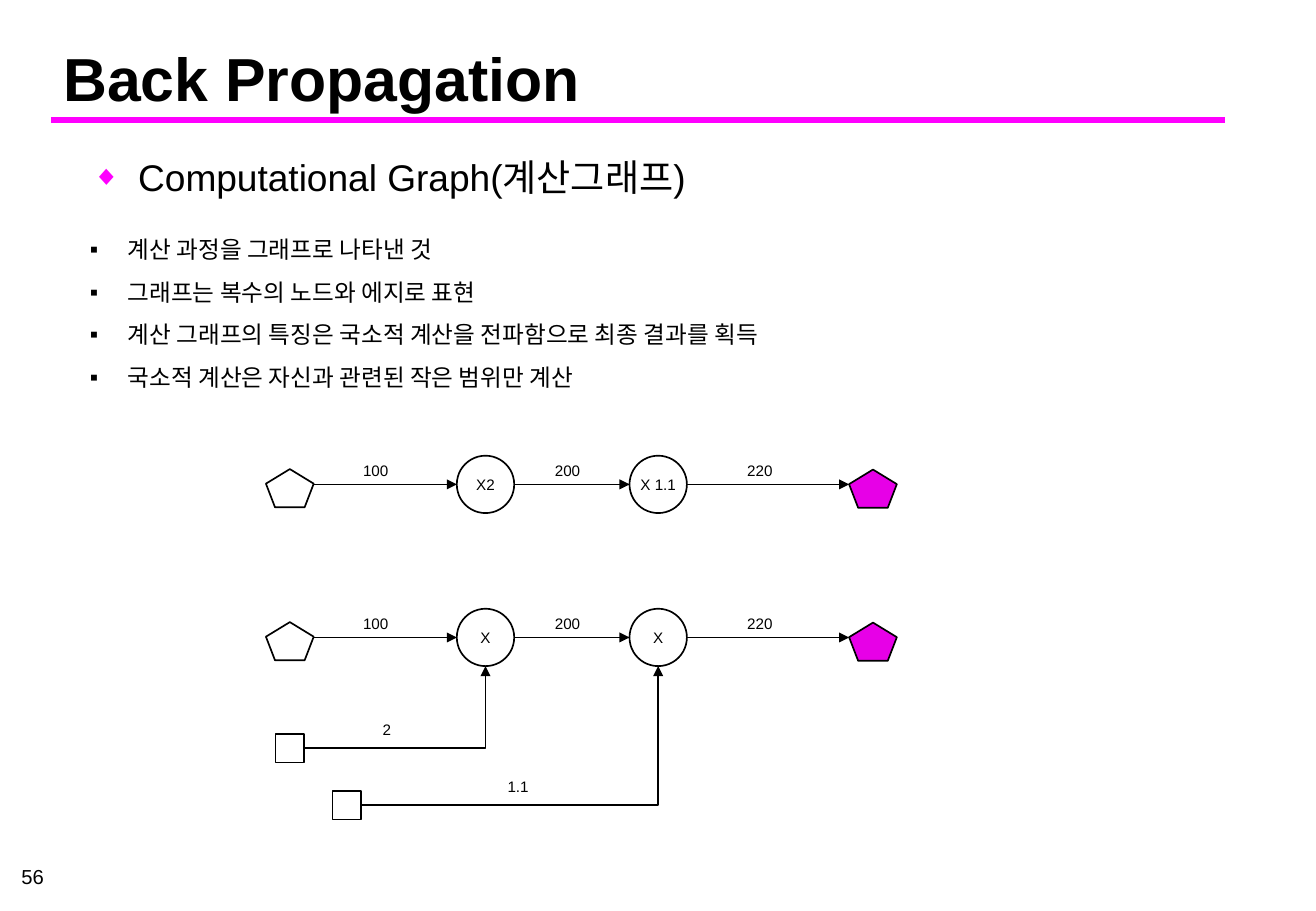
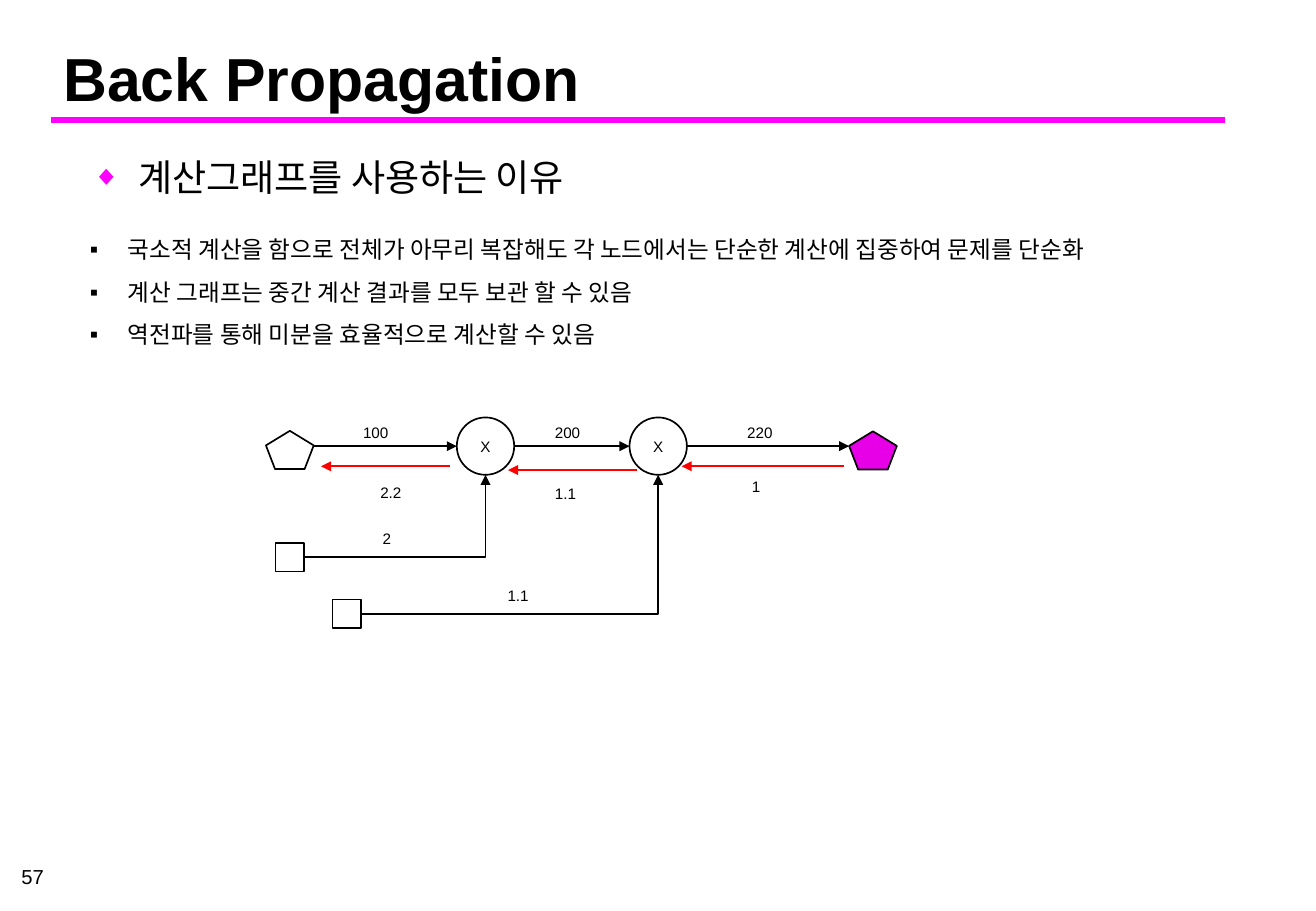
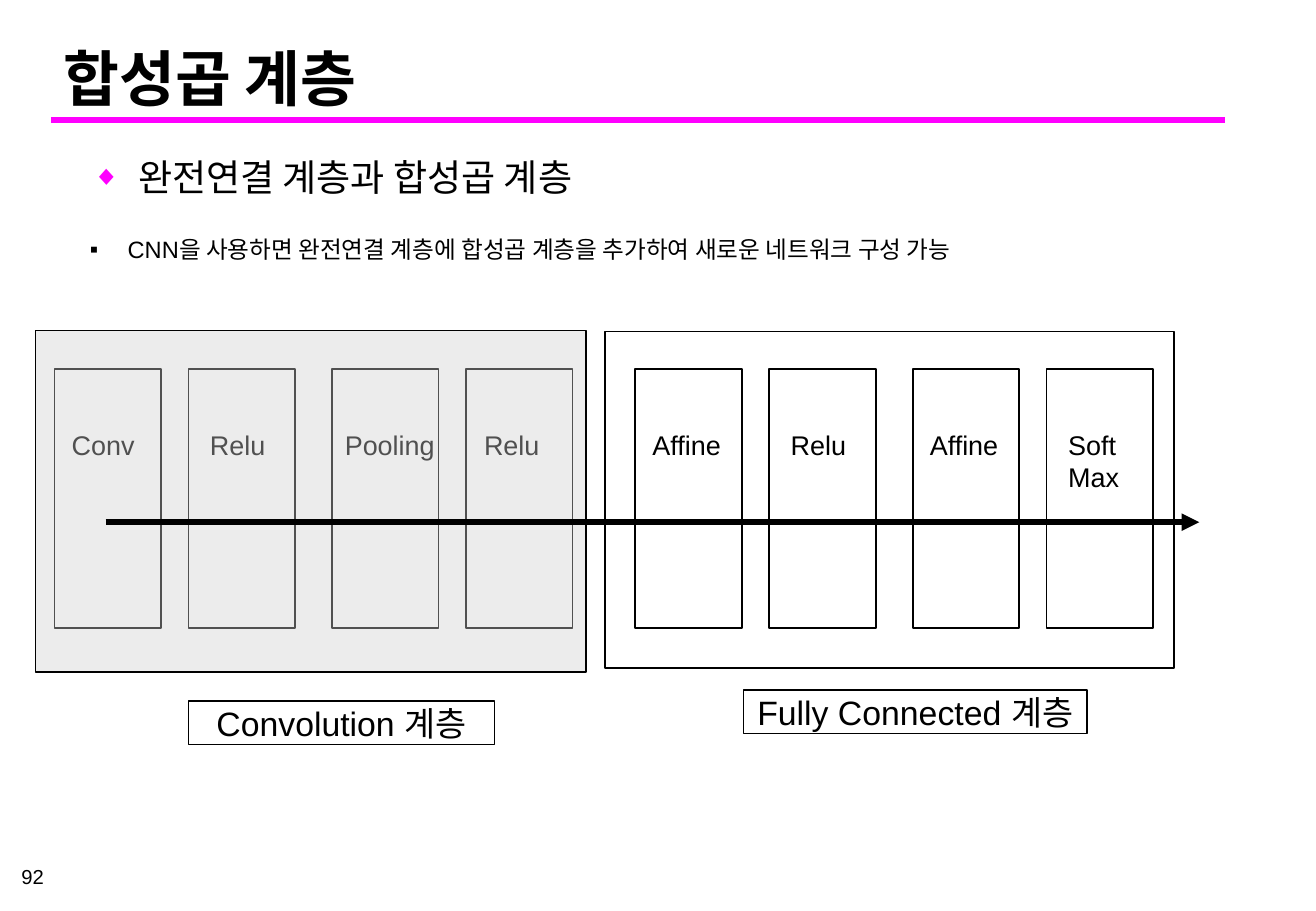
from dataclasses import dataclass

from lxml import etree
from pptx import Presentation
from pptx.dml.color import RGBColor
from pptx.enum import shapes, text
from pptx.oxml.ns import qn
from pptx.util import Cm, Pt

SHAPE = shapes.MSO_SHAPE
CONNECTOR = shapes.MSO_CONNECTOR
ALIGN = text.PP_ALIGN
ANCHOR = text.MSO_ANCHOR


@dataclass(frozen=True)
class Theme:
    font: str = "Arial"
    ink: str = "000000"
    accent: str = "FF00FF"
    output: str = "E700E7"
    backward: str = "FF0000"
    veil: str = "CFCFCF"
    title: int = 36
    heading: int = 22
    caption: int = 20
    layer: int = 16
    body: int = 14
    page: int = 12
    label: int = 9
    thin: float = 1
    rule: float = 4
    flow: float = 3.5


def add_xml(parent, tag, **attrs):
    return etree.SubElement(parent, qn(tag), attrs)


class Deck:
    def __init__(self, theme):
        self.theme = theme
        self.prs = Presentation()
        self.prs.slide_width, self.prs.slide_height = Cm(27.51), Cm(19.05)
        self.s = None

    def slide(self, title, page, heading, points):
        t = self.theme
        self.s = self.prs.slides.add_slide(self.prs.slide_layouts[5])
        self.line((1.07, 2.51), (25.6, 2.51), t.accent, t.rule, arrow=False)

        sp = self.s.shapes.title
        sp.left, sp.top, sp.width, sp.height = Cm(1.07), Cm(0.71), Cm(24.33), Cm(1.8)
        self.set_text(sp.text_frame, [title], t.title, anchor=ANCHOR.BOTTOM, bold=True)

        self.text(0, 17.9, 1.17, 0.86, [page], t.page,
                  align=ALIGN.RIGHT, anchor=ANCHOR.MIDDLE)
        self.text(1.68, 2.92, 23.88, 1.4, [heading], t.heading,
                  bullet="◆", indent=0.96, spacing=1.2, bullet_color=t.accent)
        self.text(1.63, 4.5, 24.97, 0.15 + 0.9 * len(points), points, t.body,
                  bullet="▪", indent=0.79, spacing=1.5)

    def set_text(self, tf, lines, size, align=ALIGN.LEFT, anchor=ANCHOR.TOP, bold=False,
                 wrap=True, bullet=None, indent=0, spacing=None, bullet_color=None):
        tf.word_wrap = wrap
        tf.auto_size = text.MSO_AUTO_SIZE.NONE
        tf.vertical_anchor = anchor
        for i, line in enumerate(lines):
            p = tf.paragraphs[0] if i == 0 else tf.add_paragraph()
            p.text = line
            p.alignment = align
            if bullet:
                self.bullet(p, bullet, indent, bullet_color)
            if spacing:
                p.line_spacing = spacing
            p.font.name = self.theme.font
            p.font.size = Pt(size)
            p.font.bold = bold
            p.font.color.rgb = RGBColor.from_string(self.theme.ink)

    def bullet(self, p, char, indent, color):
        pPr = p._p.get_or_add_pPr()
        pPr.set("marL", str(Cm(indent)))
        pPr.set("indent", str(-Cm(indent)))
        if color:
            add_xml(add_xml(pPr, "a:buClr"), "a:srgbClr", val=color)
            add_xml(pPr, "a:buSzPct", val="75000")
        add_xml(pPr, "a:buFont", typeface=self.theme.font)
        add_xml(pPr, "a:buChar", char=char)

    def text(self, x, y, w, h, lines, size, **style):
        box = self.s.shapes.add_textbox(Cm(x), Cm(y), Cm(w), Cm(h))
        self.set_text(box.text_frame, lines, size, **style)

    def label(self, x, y, value):
        self.text(x, y, 1.2, 0.63, [value], self.theme.label)

    def shape(self, kind, x, y, w, h, fill=None, opacity=None):
        sp = self.s.shapes.add_shape(kind, Cm(x), Cm(y), Cm(w), Cm(h))
        sp.shadow.inherit = False
        sp.line.color.rgb = RGBColor.from_string(self.theme.ink)
        sp.line.width = Pt(self.theme.thin)
        if fill:
            sp.fill.solid()
            sp.fill.fore_color.rgb = RGBColor.from_string(fill)
        else:
            sp.fill.background()
        if opacity:
            color = sp._element.spPr.find(qn("a:solidFill")).find(qn("a:srgbClr"))
            add_xml(color, "a:alpha", val=str(opacity * 1000))
        return sp

    def boxed(self, kind, x, y, w, h, value, size, inset=None):
        """Shape with its text centred, or at the top left when inset is (left, top)."""
        sp = self.shape(kind, x, y, w, h)
        tf = sp.text_frame
        left, top = inset or (0, 0)
        tf.margin_left, tf.margin_top = Cm(left), Cm(top)
        tf.margin_right = tf.margin_bottom = 0
        if inset:
            self.set_text(tf, [value], size)
        else:
            self.set_text(tf, [value], size, align=ALIGN.CENTER, anchor=ANCHOR.MIDDLE,
                          wrap=False)
        return sp

    def line(self, start, end, color=None, width=None, arrow=True,
             kind=CONNECTOR.STRAIGHT):
        c = self.s.shapes.add_connector(kind, *(Cm(v) for v in (*start, *end)))
        c.line.color.rgb = RGBColor.from_string(color or self.theme.ink)
        c.line.width = Pt(width or self.theme.thin)
        if arrow:
            add_xml(c._element.spPr.find(qn("a:ln")), "a:tailEnd", type="triangle")
        add_xml(c._element.spPr, "a:effectLst")
        return c

    def bend(self, start, end, square, circle):
        """One-corner arrow from a square's right side to a circle's bottom."""
        c = self.line(start, end, kind=CONNECTOR.ELBOW)
        c.begin_connect(square, 3)
        c.end_connect(circle, 2)
        c._element.spPr.find(qn("a:prstGeom")).set("prst", "bentConnector2")
        # An ellipse has eight connection sites; its bottom is number 4.
        next(c._element.iter(qn("a:endCxn"))).set("idx", "4")

    def network(self, top, operators):
        """Forward row: input, two operator circles, output. Returns the circles."""
        d, axis = 1.2, top + 0.6
        circle_xs = (9.55, 13.16)
        self.shape(SHAPE.REGULAR_PENTAGON, 5.56, top + 0.28, 1, 0.8)
        self.shape(SHAPE.REGULAR_PENTAGON, 17.75, top + 0.29, 1, 0.8, self.theme.output)
        circles = [self.boxed(SHAPE.OVAL, x, top, d, d, op, self.theme.label)
                   for x, op in zip(circle_xs, operators)]
        starts = (6.56, *(x + d for x in circle_xs))
        ends = (*circle_xs, 17.75)
        for x1, x2 in zip(starts, ends):
            self.line((x1, axis), (x2, axis))
        for x, value in ((7.34, "100"), (11.35, "200"), (15.37, "220")):
            self.label(x, top, value)
        return circles

    def factor_network(self, top):
        """Forward row whose factors enter the circles from below."""
        side = 0.6
        circles = self.network(top, ("X", "X"))
        inputs = ((5.76, 2.62, 10.15, 7.75, "2"), (6.95, 3.81, 13.76, 10.36, "1.1"))
        for circle, (x, drop, circle_x, label_x, value) in zip(circles, inputs):
            y = top + drop
            square = self.shape(SHAPE.RECTANGLE, x, y, side, side)
            self.bend((x + side, y + side / 2), (circle_x, top + 1.2), square, circle)
            self.label(label_x, y - 0.41, value)

    def gradients(self, top):
        for x1, x2, drop, label_x, label_drop, value in (
                (17.65, 14.25, 1.02, 15.47, 1.12, "1"),
                (13.31, 10.62, 1.1, 11.35, 1.27, "1.1"),
                (9.4, 6.71, 1.02, 7.7, 1.25, "2.2")):
            self.line((x1, top + drop), (x2, top + drop), self.theme.backward)
            self.label(label_x, top + label_drop, value)

    def layers(self, left, names):
        for dx, (name, inset) in zip((0, 2.8, 5.8, 8.6), names):
            self.boxed(SHAPE.RECTANGLE, left + dx, 7.72, 2.23, 5.41, name,
                       self.theme.layer, inset=(inset, 1.24))


def main():
    theme = Theme()
    deck = Deck(theme)

    deck.slide("Back Propagation", "56", "Computational Graph(계산그래프)", [
        "계산 과정을 그래프로 나타낸 것",
        "그래프는 복수의 노드와 에지로 표현",
        "계산 그래프의 특징은 국소적 계산을 전파함으로 최종 결과를 획득",
        "국소적 계산은 자신과 관련된 작은 범위만 계산",
    ])
    deck.network(9.53, ("X2", "X 1.1"))
    deck.factor_network(12.73)

    deck.slide("Back Propagation", "57", "계산그래프를 사용하는 이유", [
        "국소적 계산을 함으로 전체가 아무리 복잡해도 각 노드에서는 단순한 계산에 집중하여 문제를 단순화",
        "계산 그래프는 중간 계산 결과를 모두 보관 할 수 있음",
        "역전파를 통해 미분을 효율적으로 계산할 수 있음",
    ])
    deck.factor_network(8.73)
    deck.gradients(8.73)

    deck.slide("합성곱 계층", "92", "완전연결 계층과 합성곱 계층", [
        "CNN을 사용하면 완전연결 계층에 합성곱 계층을 추가하여 새로운 네트워크 구성 가능",
    ])
    deck.layers(13.28, (("Affine", 0.36), ("Relu", 0.45), ("Affine", 0.36),
                        ("Soft\nMax", 0.45)))
    deck.shape(SHAPE.RECTANGLE, 12.65, 6.93, 11.89, 7.04)
    deck.layers(1.14, (("Conv", 0.36), ("Relu", 0.45), ("Pooling", 0.27),
                       ("Relu", 0.38)))
    deck.shape(SHAPE.RECTANGLE, 0.74, 6.91, 11.51, 7.14, theme.veil, opacity=39)
    deck.line((2.21, 10.92), (25.07, 10.92), width=theme.flow)
    deck.boxed(SHAPE.RECTANGLE, 3.94, 14.66, 6.4, 0.91, "Convolution 계층", theme.caption)
    deck.boxed(SHAPE.RECTANGLE, 15.54, 14.43, 7.19, 0.91, "Fully Connected 계층",
               theme.caption)

    deck.prs.save("out.pptx")


if __name__ == "__main__":
    main()
